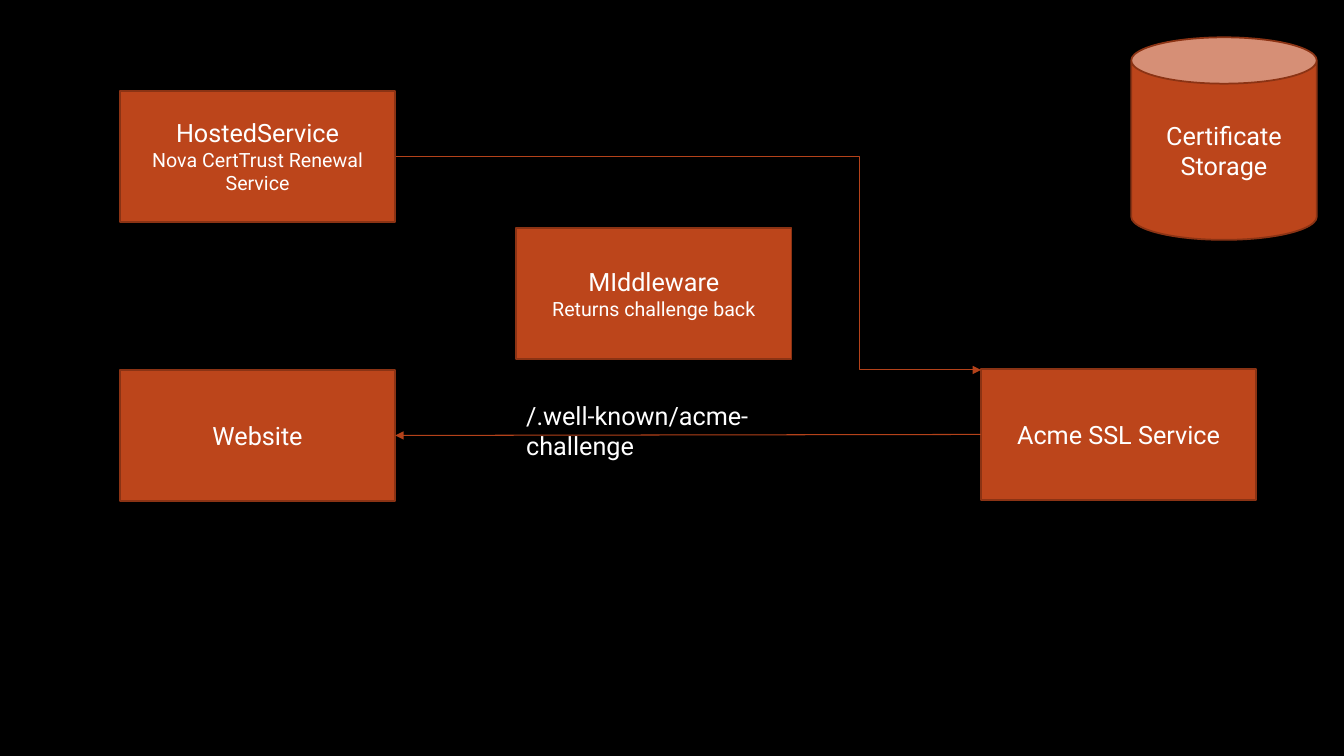
from lxml.etree import SubElement
from pptx import Presentation
from pptx.dml.color import RGBColor
from pptx.enum.shapes import MSO_CONNECTOR, MSO_SHAPE
from pptx.enum.text import MSO_ANCHOR, MSO_AUTO_SIZE, PP_ALIGN
from pptx.oxml.ns import qn
from pptx.util import Inches, Pt

FONT = "Roboto"
BACKGROUND, TEXT = "000000", "FFFFFF"
NODE_FILL, NODE_BORDER, ARROW = "BC451B", "8B3314", "B4421A"
BOX_WIDTH, BOX_HEIGHT = 2.73, 1.3
LEFT_COLUMN, MIDDLE_COLUMN, RIGHT_COLUMN = 1.19, 5.12, 9.73
LEFT_SITE, RIGHT_SITE = 1, 3  # connection sites of a rectangle


def paint(color_format, color):
    color_format.rgb = RGBColor.from_string(color)


def add_run(paragraph, text, size):
    run = paragraph.add_run()
    run.text = text
    run.font.name = FONT
    run.font.size = Pt(size)
    paint(run.font.color, TEXT)


def add_node(slide, left, top, title, detail=None, kind=MSO_SHAPE.RECTANGLE,
             width=BOX_WIDTH, height=BOX_HEIGHT):
    """Add a component with a title and an optional smaller line below it."""
    node = slide.shapes.add_shape(
        kind, Inches(left), Inches(top), Inches(width), Inches(height))
    node.shadow.inherit = False
    node.fill.solid()
    paint(node.fill.fore_color, NODE_FILL)
    paint(node.line.color, NODE_BORDER)
    node.line.width = Pt(1.25)
    frame = node.text_frame
    frame.word_wrap = True
    frame.vertical_anchor = MSO_ANCHOR.MIDDLE
    heading = frame.paragraphs[0]
    heading.alignment = PP_ALIGN.CENTER
    add_run(heading, title, 18)
    if detail:
        subheading = frame.add_paragraph()
        subheading.alignment = PP_ALIGN.CENTER
        add_run(subheading, detail, 14)
    return node


def add_arrow(slide, kind, start, end):
    arrow = slide.shapes.add_connector(
        kind, *(Inches(length) for length in (*start, *end)))
    paint(arrow.line.color, ARROW)
    arrow.line.width = Pt(0.75)
    SubElement(arrow.line._get_or_add_ln(), qn("a:tailEnd"), type="triangle")
    SubElement(arrow._element.spPr, qn("a:effectLst"))
    return arrow


def add_label(slide, left, top, width, height, text):
    label = slide.shapes.add_textbox(
        Inches(left), Inches(top), Inches(width), Inches(height))
    label.text_frame.word_wrap = True
    label.text_frame.auto_size = MSO_AUTO_SIZE.SHAPE_TO_FIT_TEXT
    add_run(label.text_frame.paragraphs[0], text, 18)


def main():
    deck = Presentation()
    deck.slide_width, deck.slide_height = Inches(13.33), Inches(7.5)
    slide = deck.slides.add_slide(deck.slide_layouts[6])
    slide.background.fill.solid()
    paint(slide.background.fill.fore_color, BACKGROUND)

    add_node(slide, LEFT_COLUMN, 0.9, "HostedService",
             "Nova CertTrust Renewal Service")
    add_node(slide, 11.22, 0.37, "Certificate Storage",
             kind=MSO_SHAPE.CAN, width=1.84, height=2.01)
    website = add_node(slide, LEFT_COLUMN, 3.67, "Website")
    acme_service = add_node(slide, RIGHT_COLUMN, 3.66, "Acme SSL Service")

    challenge = add_arrow(slide, MSO_CONNECTOR.STRAIGHT,
                          (RIGHT_COLUMN, 4.31), (3.92, 4.32))
    challenge.begin_connect(acme_service, LEFT_SITE)
    challenge.end_connect(website, RIGHT_SITE)
    add_label(slide, MIDDLE_COLUMN, 3.92, 3.25, 0.4,
              "/.well-known/acme-challenge")
    add_node(slide, MIDDLE_COLUMN, 2.26, "MIddleware",
             "Returns challenge back")

    renewal = add_arrow(slide, MSO_CONNECTOR.ELBOW,
                        (3.93, 1.55), (RIGHT_COLUMN, 3.67))
    bend = renewal._element.spPr.find(qn("a:prstGeom")).find(qn("a:avLst"))
    SubElement(bend, qn("a:gd"), name="adj1", fmla="val 79200")

    deck.save("out.pptx")


if __name__ == "__main__":
    main()
